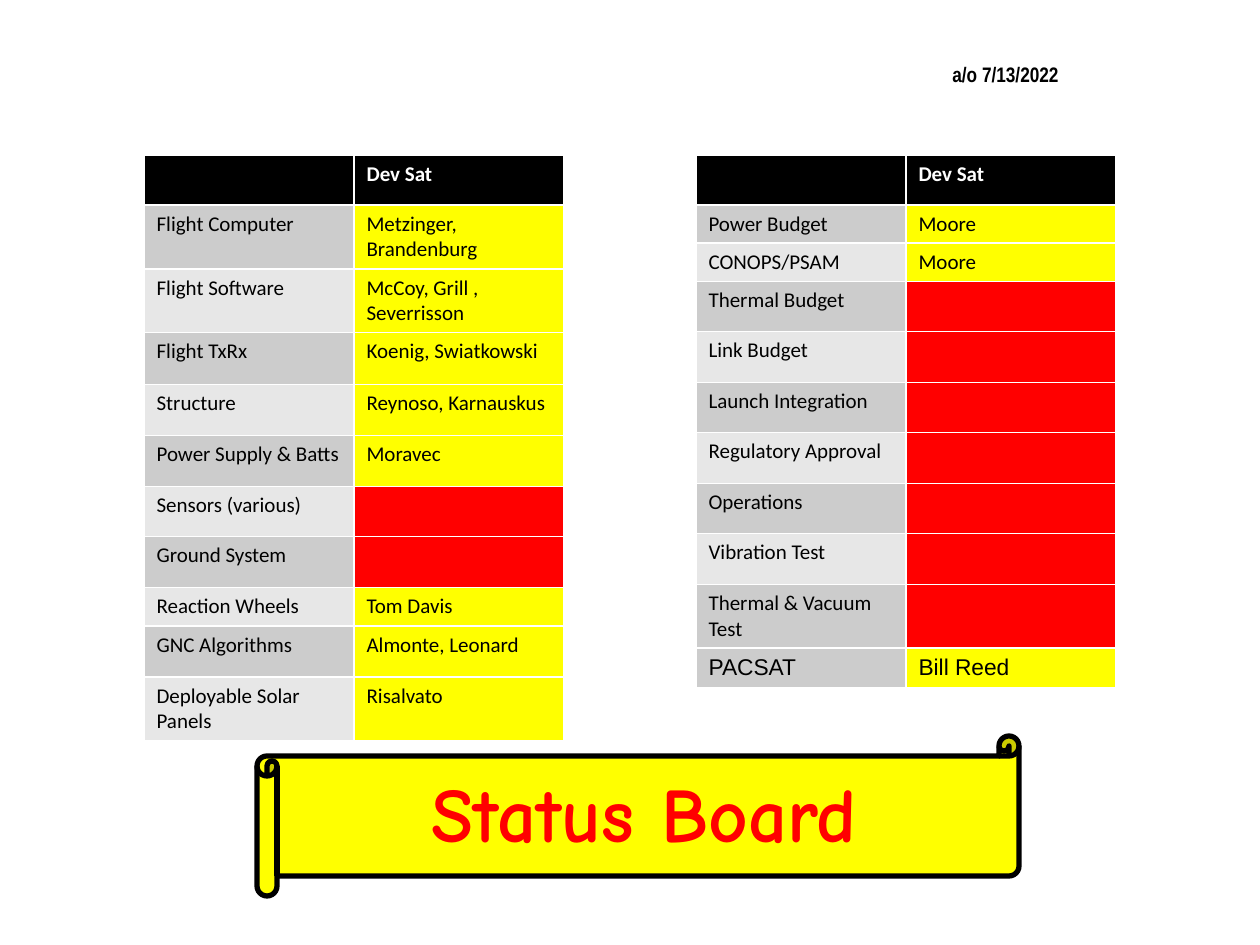
"""Builds the satellite status board slide."""
from pptx import Presentation
from pptx.dml.color import RGBColor
from pptx.enum.shapes import MSO_SHAPE as Shape
from pptx.enum.text import MSO_ANCHOR as Anchor, PP_ALIGN as Align
from pptx.util import Pt

BLACK = RGBColor(0, 0, 0)
WHITE = RGBColor(255, 255, 255)
RED = RGBColor(255, 0, 0)
YELLOW = RGBColor(255, 255, 0)
BANDS = [RGBColor(0xCC, 0xCC, 0xCC), RGBColor(0xE7, 0xE7, 0xE7)]

HEADER = ("", "Dev Sat", 50)
SUBSYSTEMS = [
    ("Flight Computer", "Metzinger, Brandenburg", 63),
    ("Flight Software", "McCoy, Grill , Severrisson", 63),
    ("Flight TxRx", "Koenig, Swiatkowski", 52),
    ("Structure", "Reynoso, Karnauskus", 51),
    ("Power Supply & Batts", "Moravec", 51),
    ("Sensors (various)", "", 50),
    ("Ground System", "", 51),
    ("Reaction Wheels", "Tom Davis", 38),
    ("GNC Algorithms", "Almonte, Leonard", 51),
    ("Deployable Solar Panels", "Risalvato", 62),
]
ANALYSES = [
    ("Power Budget", "Moore", 38),
    ("CONOPS/PSAM", "Moore", 38),
    ("Thermal Budget", "", 50),
    ("Link Budget", "", 51),
    ("Launch Integration", "", 50),
    ("Regulatory Approval", "", 51),
    ("Operations", "", 50),
    ("Vibration Test", "", 51),
    ("Thermal & Vacuum Test", "", 62),
    ("PACSAT", "Bill Reed", 40),
]
BOARDS = [(144, SUBSYSTEMS), (696, ANALYSES)]
LARGE_ROW = "PACSAT"
TABLE_TOP, COLUMN_WIDTH = 155, 210


def px(*lengths):
    return [round(length * 914400 / 126) for length in lengths]


def style(paragraph, size, face, color, bold=False):
    for run in paragraph.runs:
        run.font.size = Pt(size)
        run.font.name = face
        run.font.color.rgb = color
        run.font.bold = bold


def fill_cell(cell, text, fill, size, face, color, bold=False):
    cell.fill.solid()
    cell.fill.fore_color.rgb = fill
    cell.text_frame.text = text
    paragraph = cell.text_frame.paragraphs[0]
    style(paragraph, size, face, color, bold)
    if not text:
        paragraph._p.get_or_add_endParaRPr().set("sz", str(size * 100))


def add_board(slide, left, items):
    rows = [HEADER] + items
    height = sum(row[2] for row in rows)
    board = slide.shapes.add_table(
        len(rows), 2, *px(left, TABLE_TOP, 2 * COLUMN_WIDTH, height)).table
    for column in board.columns:
        column.width = px(COLUMN_WIDTH)[0]
    for index, (task, owner, row_height) in enumerate(rows):
        board.rows[index].height = px(row_height)[0]
        if index == 0:
            fills, font = (BLACK, BLACK), (12, "Calibri", WHITE, True)
        else:
            large = task == LARGE_ROW
            band = BANDS[0] if large else BANDS[(index - 1) % 2]
            fills = (band, YELLOW if owner else RED)
            font = (13, "Arial", BLACK) if large else (12, "Calibri", BLACK)
        for column, text in enumerate((task, owner)):
            fill_cell(board.cell(index, column), text, fills[column], *font)


def add_banner(slide):
    scroll = slide.shapes.add_shape(
        Shape.HORIZONTAL_SCROLL, *px(257, 736, 762, 160))
    scroll.shadow.inherit = False
    scroll.fill.solid()
    scroll.fill.fore_color.rgb = YELLOW
    scroll.line.color.rgb = BLACK
    scroll.line.width = Pt(3)

    title = slide.shapes.title
    title.left, title.top, title.width, title.height = px(219, 759, 851, 105)
    title.text_frame.text = "Status Board"
    title.text_frame.vertical_anchor = Anchor.TOP
    heading = title.text_frame.paragraphs[0]
    heading.alignment = Align.CENTER
    style(heading, 44, "Comic Neue", RED, True)
    scroll._element.addnext(title._element)


def add_date(slide):
    date = slide.shapes.add_textbox(*px(940, 55, 159, 38)).text_frame
    date.word_wrap = True
    date.text = "a/o 7/13/2022"
    style(date.paragraphs[0], 12, "Arial Narrow", BLACK, True)


def main():
    deck = Presentation()
    deck.slide_width, deck.slide_height = px(1260, 945)
    slide = deck.slides.add_slide(deck.slide_layouts[5])
    for left, items in BOARDS:
        add_board(slide, left, items)
    add_banner(slide)
    add_date(slide)
    deck.save("out.pptx")


if __name__ == "__main__":
    main()
